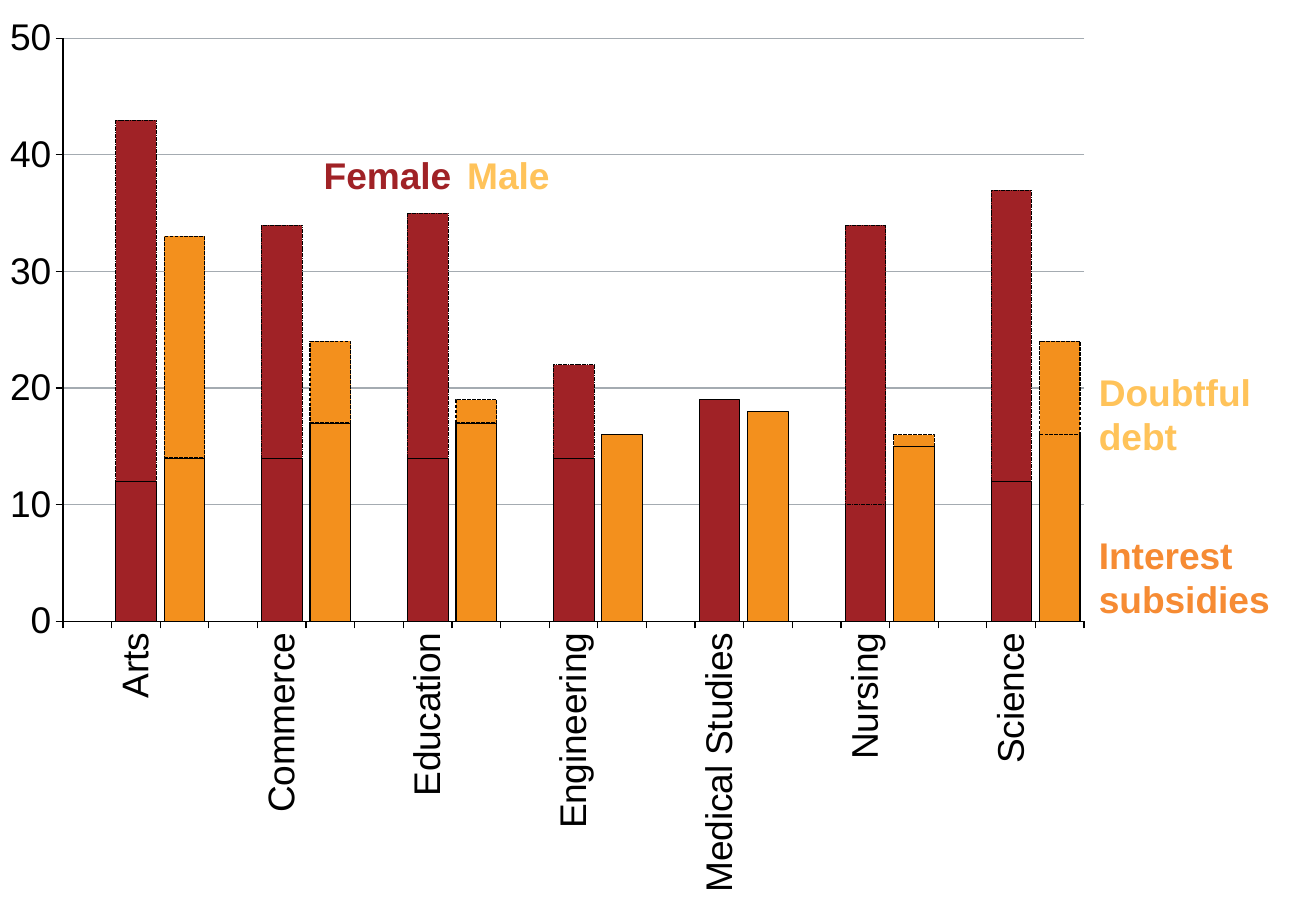
from pptx import Presentation, util as u
from pptx.chart.data import CategoryChartData
from pptx.dml.color import RGBColor
from pptx.enum import chart as c, dml, text
from pptx.oxml import parse_xml
from pptx.oxml.ns import nsdecls

BLACK = RGBColor(0x00, 0x00, 0x00)
GRID_GREY = RGBColor(0xA4, 0xAB, 0xB1)
FEMALE_RED = RGBColor(0xA0, 0x22, 0x26)
MALE_ORANGE = RGBColor(0xF3, 0x90, 0x1D)
LABEL_ORANGE = RGBColor(0xF6, 0x8B, 0x33)
LABEL_YELLOW = RGBColor(0xFF, 0xC3, 0x5A)

# Field of study: female interest, female debt, male interest, male debt
COSTS = {
    "Arts": (12, 31, 14, 19),
    "Commerce": (14, 20, 17, 7),
    "Education": (14, 21, 17, 2),
    "Engineering": (14, 8, 16, 0),
    "Medical Studies": (19, 0, 18, 0),
    "Nursing": (10, 24, 15, 1),
    "Science": (12, 25, 16, 8),
}
# Colour, outline width and dashed outline of each series
SERIES_STYLES = (
    (FEMALE_RED, 0.25, False),
    (FEMALE_RED, 0.25, True),
    (MALE_ORANGE, 0.75, False),
    (MALE_ORANGE, 0.75, True),
)


class SlideBuilder:
    """Holds the style and the current slide; lengths are shares of its size."""

    font_name = "Arial"
    font_size = u.Pt(22)

    def __init__(self, width, height):
        self.presentation = Presentation()
        self.presentation.slide_width = self.width = u.Inches(width)
        self.presentation.slide_height = self.height = u.Inches(height)
        self.slide = self.presentation.slides.add_slide(
            self.presentation.slide_layouts[6])

    def place(self, left, top, width, height):
        return (round(left * self.width), round(top * self.height),
                round(width * self.width), round(height * self.height))

    def label(self, words, colour, *shares):
        shape = self.slide.shapes.add_textbox(*self.place(*shares))
        frame = shape.text_frame
        frame.margin_left = frame.margin_right = 0
        frame.margin_top = frame.margin_bottom = 0
        frame.word_wrap = False
        frame.auto_size = text.MSO_AUTO_SIZE.SHAPE_TO_FIT_TEXT
        frame.text = words
        for paragraph in frame.paragraphs:
            for run in paragraph.runs:
                run.font.name = self.font_name
                run.font.size = self.font_size
                run.font.bold = True
                run.font.color.rgb = colour

    def stacked_columns(self, data, styles, *shares):
        chart = self.slide.shapes.add_chart(
            c.XL_CHART_TYPE.COLUMN_STACKED, *self.place(*shares), data).chart
        chart.has_title = chart.has_legend = False
        chart.font.name = self.font_name
        chart.font.size = u.Pt(18)
        chart.font.color.rgb = BLACK
        plot = chart.plots[0]
        plot.gap_width, plot.overlap = 20, 100
        plot.vary_by_categories = False
        for series, (colour, width, dashed) in zip(plot.series, styles):
            series.format.fill.solid()
            series.format.fill.fore_color.rgb = colour
            self.line(series.format.line, BLACK, width)
            if dashed:
                series.format.line.dash_style = dml.MSO_LINE.SQUARE_DOT
        for axis in (chart.category_axis, chart.value_axis):
            axis.major_tick_mark = c.XL_TICK_MARK.OUTSIDE
            axis.minor_tick_mark = c.XL_TICK_MARK.NONE
            axis.tick_labels.font.size = self.font_size
            axis.tick_labels.font.name = self.font_name
            axis.tick_labels.font.color.rgb = BLACK
            self.line(axis.format.line, BLACK, 0.75)
        return chart

    @staticmethod
    def line(line, colour, width):
        line.color.rgb = colour
        line.width = u.Pt(width)

    def value_scale(self, axis, maximum, step):
        axis.minimum_scale, axis.maximum_scale, axis.major_unit = 0, maximum, step
        axis.has_major_gridlines = True
        self.line(axis.major_gridlines.format.line, GRID_GREY, 0.75)

    @staticmethod
    def upright_categories(chart):
        axis = chart.element.xpath(".//c:catAx")[0]
        axis.xpath("c:txPr/a:bodyPr")[0].set("rot", "-5400000")
        axis.xpath("c:noMultiLvlLbl")[0].addprevious(
            parse_xml(f'<c:tickLblSkip {nsdecls("c")} val="1"/>'))

    @staticmethod
    def plot_layout(chart, **shares):
        area = chart.element.xpath(".//c:plotArea")[0]
        for layout in area.xpath("c:layout"):
            area.remove(layout)
        sizes = "".join(f'<c:{key} val="{share}"/>' for key, share in shares.items())
        area.insert(0, parse_xml(
            f'<c:layout {nsdecls("c")}><c:manualLayout>'
            '<c:layoutTarget val="inner"/><c:xMode val="edge"/>'
            f'<c:yMode val="edge"/>{sizes}</c:manualLayout></c:layout>'))


def cost_data():
    """Each field takes three slots: a gap, the female and the male column."""
    data = CategoryChartData()
    data.categories = [name for field in COSTS for name in ("", field, "")]
    for index in range(len(SERIES_STYLES)):
        slot = 1 + index // 2
        values = [costs[index] if place == slot else None
                  for costs in COSTS.values() for place in range(3)]
        data.add_series(f"Series {index + 1}", values)
    return data


def main():
    builder = SlideBuilder(10.83, 7.5)

    # Costs by field of study
    chart = builder.stacked_columns(cost_data(), SERIES_STYLES, -0.01, 0, 0.85, 1)
    builder.value_scale(chart.value_axis, 50, 10)
    builder.upright_categories(chart)
    builder.plot_layout(chart, x=0.068, y=0.042, w=0.913, h=0.64)

    # Column labels
    builder.label("Female", FEMALE_RED, 0.246, 0.167, 0.098, 0.05)
    builder.label("Male", LABEL_YELLOW, 0.355, 0.167, 0.064, 0.05)

    # Segment labels
    builder.label("Interest\nsubsidies", LABEL_ORANGE, 0.835, 0.584, 0.131, 0.099)
    builder.label("Doubtful\ndebt", LABEL_YELLOW, 0.835, 0.405, 0.117, 0.099)

    builder.presentation.save("out.pptx")


if __name__ == "__main__":
    main()
